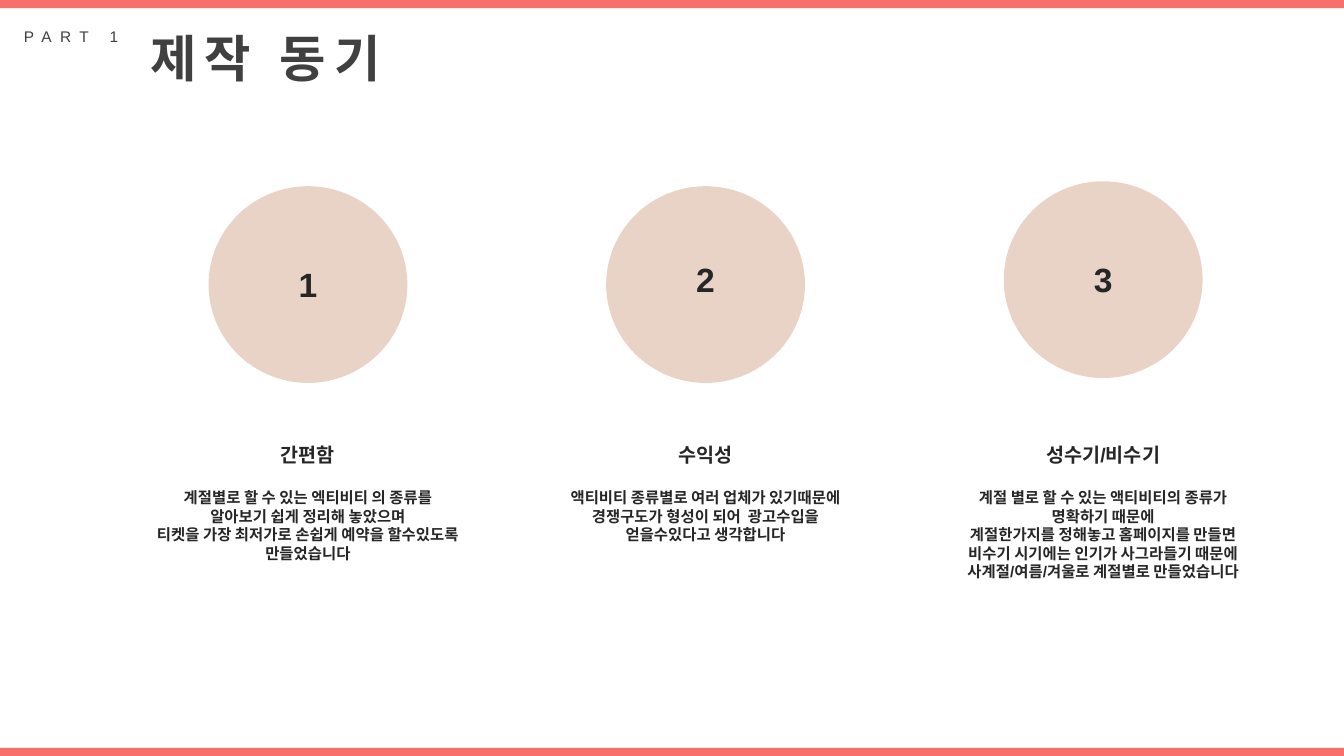
from dataclasses import dataclass

from pptx import Presentation
from pptx.dml.color import RGBColor
from pptx.enum.shapes import MSO_SHAPE
from pptx.enum.text import MSO_ANCHOR, MSO_AUTO_SIZE, PP_ALIGN
from pptx.shapes.autoshape import Shape
from pptx.slide import Slide
from pptx.util import Pt

SLIDE_WIDTH, SLIDE_HEIGHT = 960, 540
BAR_HEIGHT = 5.8
COLUMN_PITCH = 284
CORAL, BEIGE = "F86F6C", "E9D3C6"
HEADING_GRAY, TEXT_GRAY = "404040", "262626"


@dataclass
class Reason:
    number: str
    heading: str
    lines: list[str]
    circle_top: float
    number_top: float


REASONS = [
    Reason("1", "간편함", [
        "계절별로 할 수 있는 엑티비티 의 종류를",
        "알아보기 쉽게 정리해 놓았으며",
        "티켓을 가장 최저가로 손쉽게 예약을 할수있도록",
        "만들었습니다",
    ], 133, 185),
    Reason("2", "수익성", [
        "액티비티 종류별로 여러 업체가 있기때문에",
        "경쟁구도가 형성이 되어  광고수입을",
        "얻을수있다고 생각합니다",
    ], 133, 181.5),
    Reason("3", "성수기/비수기", [
        "계절 별로 할 수 있는 액티비티의 종류가",
        "명확하기 때문에",
        "계절한가지를 정해놓고 홈페이지를 만들면",
        "비수기 시기에는 인기가 사그라들기 때문에",
        "사계절/여름/겨울로 계절별로 만들었습니다",
    ], 129.5, 181.5),
]


def color(value: str) -> RGBColor:
    return RGBColor.from_string(value)


def add_filled(slide: Slide, kind: MSO_SHAPE, left: float, top: float,
               width: float, height: float, fill: str) -> None:
    shape = slide.shapes.add_shape(kind, Pt(left), Pt(top), Pt(width), Pt(height))
    shape.shadow.inherit = False
    shape.fill.solid()
    shape.fill.fore_color.rgb = color(fill)
    shape.line.fill.background()


def add_box(slide: Slide, left: float, top: float, width: float, height: float) -> Shape:
    shape = slide.shapes.add_textbox(Pt(left), Pt(top), Pt(width), Pt(height))
    shape.text_frame.word_wrap = True
    return shape


def write(shape: Shape, text: str, *, size: float, fill: str = TEXT_GRAY,
          bold: bool = True, align: PP_ALIGN = PP_ALIGN.CENTER,
          spacing: float = 0, after: float = 0) -> None:
    frame = shape.text_frame
    paragraph = frame.add_paragraph() if frame.text else frame.paragraphs[0]
    paragraph.alignment = align
    paragraph.space_before = Pt(0)
    paragraph.space_after = Pt(after)
    run = paragraph.add_run()
    run.text = text
    run.font.name = "Arial"
    run.font.size = Pt(size)
    run.font.bold = bold
    run.font.color.rgb = color(fill)
    if spacing:
        run.font._element.set("spc", str(round(spacing * 100)))


def add_heading(slide: Slide) -> None:
    title = slide.shapes.title
    title.left, title.top, title.width, title.height = Pt(100), Pt(16), Pt(200), Pt(51)
    title.text_frame.auto_size = MSO_AUTO_SIZE.NONE
    title.text_frame.vertical_anchor = MSO_ANCHOR.TOP
    write(title, "제작 동기", size=36, fill=HEADING_GRAY, align=PP_ALIGN.LEFT, spacing=6)
    part = add_box(slide, 10, 16, 90, 21)
    part.text_frame.word_wrap = False
    write(part, "PART 1", size=11, fill=HEADING_GRAY, bold=False,
          align=PP_ALIGN.LEFT, spacing=6)


def add_reason(slide: Slide, reason: Reason, offset: float) -> None:
    add_filled(slide, MSO_SHAPE.OVAL, 149 + offset, reason.circle_top, 142, 140.5, BEIGE)
    write(add_box(slide, 206 + offset, reason.number_top, 28, 36), reason.number, size=24)
    caption = add_box(slide, 87 + offset, 312.5, 266, 41 + 13.3 * len(reason.lines))
    write(caption, reason.heading, size=14, after=16)
    for line in reason.lines:
        write(caption, line, size=11)


def main() -> None:
    presentation = Presentation()
    presentation.slide_width = Pt(SLIDE_WIDTH)
    presentation.slide_height = Pt(SLIDE_HEIGHT)
    slide = presentation.slides.add_slide(presentation.slide_layouts.get_by_name("Title Only"))
    for top in (0, SLIDE_HEIGHT - BAR_HEIGHT):
        add_filled(slide, MSO_SHAPE.RECTANGLE, 0, top, SLIDE_WIDTH, BAR_HEIGHT, CORAL)
    add_heading(slide)
    for index, reason in enumerate(REASONS):
        add_reason(slide, reason, index * COLUMN_PITCH)
    presentation.save("out.pptx")


if __name__ == "__main__":
    main()
